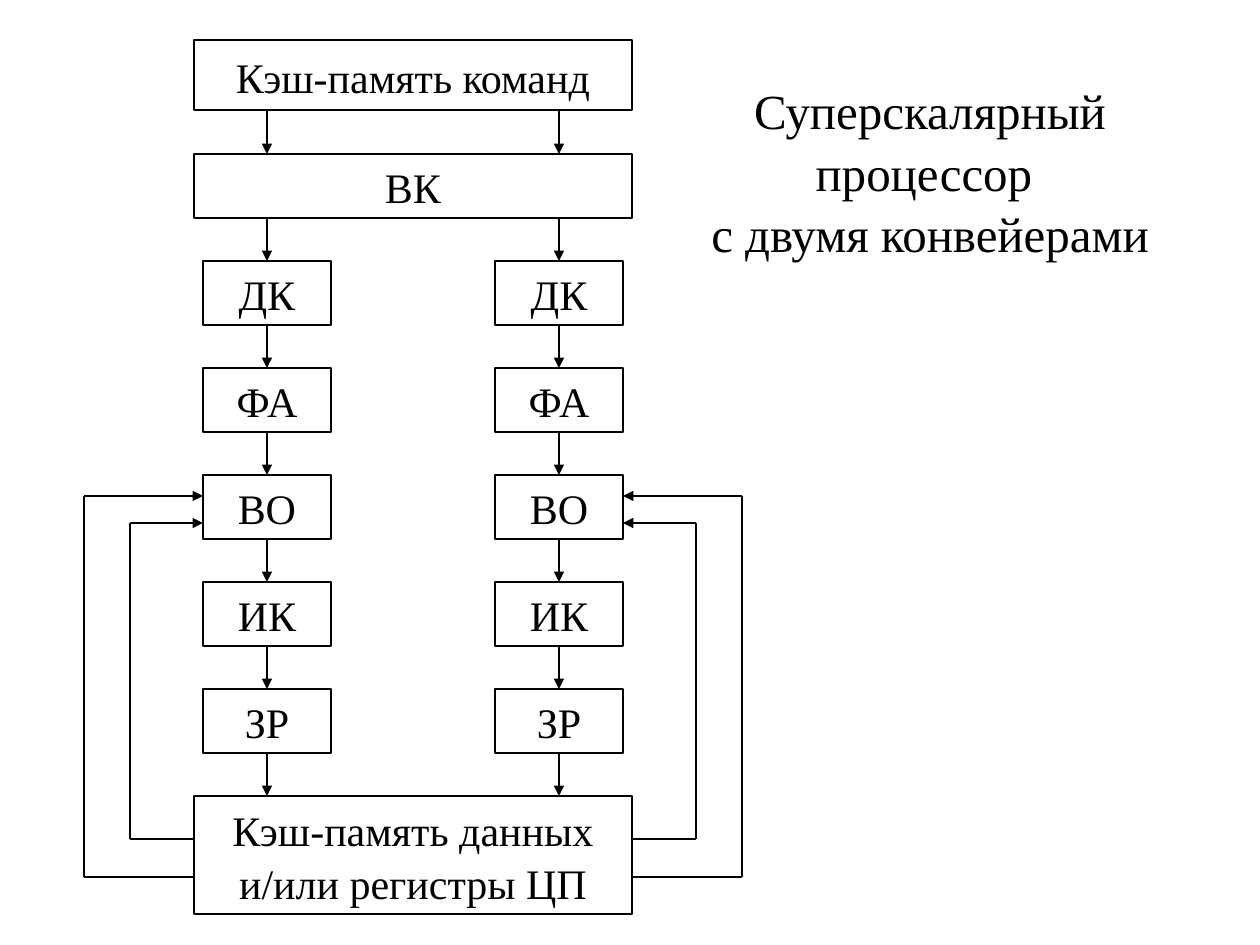
from pptx import Presentation
from pptx import util as u
from pptx.dml.color import RGBColor
from pptx.enum import shapes, text
from pptx.oxml.ns import qn
from lxml import etree

BLACK = RGBColor(0, 0, 0)
WHITE = RGBColor(255, 255, 255)
PX_PER_INCH = 126
TOP, BOTTOM = 0, 2  # connection sites of a rectangle


def px(length):
    return u.Emu(round(length * 914400 / PX_PER_INCH))


class Diagram:
    """Style of the diagram and the slide it is drawn on."""
    font_format = dict(name="Times New Roman", bold=False)
    frame_format = dict(word_wrap=True, vertical_anchor=text.MSO_ANCHOR.MIDDLE,
                        auto_size=text.MSO_AUTO_SIZE.NONE,
                        margin_left=u.Inches(0.1), margin_right=u.Inches(0.1),
                        margin_top=u.Inches(0.05), margin_bottom=u.Inches(0.05))
    paragraph_format = dict(alignment=text.PP_ALIGN.CENTER, line_spacing=1.05)
    line_width = u.Pt(0.75)

    def __init__(self, slide):
        self.slide = slide

    def label(self, frame, words, size):
        frame.text = words
        paragraph = frame.paragraphs[0]
        formats = [(frame, self.frame_format), (paragraph, self.paragraph_format)]
        formats += [(run.font, dict(self.font_format, size=u.Pt(size)))
                    for run in paragraph.runs]
        for target, values in formats:
            for name, value in values.items():
                setattr(target, name, value)
        for run in paragraph.runs:
            run.font.color.rgb = BLACK

    def outline(self, line):
        line.color.rgb = BLACK
        line.width = self.line_width

    def title(self, words, left, top, width, height):
        heading = self.slide.shapes.title
        place = dict(left=left, top=top, width=width, height=height)
        for name, value in place.items():
            setattr(heading, name, px(value))
        self.label(heading.text_frame, words, 28)

    def box(self, words, left, top, width, height):
        block = self.slide.shapes.add_shape(
            shapes.MSO_SHAPE.RECTANGLE, *map(px, (left, top, width, height)))
        block.shadow.inherit = False
        block.fill.solid()
        block.fill.fore_color.rgb = WHITE
        self.outline(block.line)
        self.label(block.text_frame, words, 24)
        return block

    def line(self, start, end, arrow=False, source=None, target=None):
        """Straight line; source and target are boxes joined bottom to top."""
        link = self.slide.shapes.add_connector(
            shapes.MSO_CONNECTOR.STRAIGHT, *map(px, (*start, *end)))
        self.outline(link.line)
        properties = link._element.spPr
        if arrow:
            etree.SubElement(properties.find(qn("a:ln")), qn("a:tailEnd"), type="triangle")
        etree.SubElement(properties, qn("a:effectLst"))
        if source is not None:
            link.begin_connect(source, BOTTOM)
        if target is not None:
            link.end_connect(target, TOP)

    def route(self, points):
        """Chain of lines with an arrowhead on the last one."""
        legs = list(zip(points, points[1:]))
        for start, end in legs:
            self.line(start, end, arrow=(start, end) == legs[-1])


def main():
    deck = Presentation()
    deck.slide_width, deck.slide_height = u.Inches(10), u.Inches(7.5)
    diagram = Diagram(deck.slides.add_slide(deck.slide_layouts[5]))
    diagram.title("Суперскалярный процессор \vс двумя конвейерами", 679, 40, 502, 260)

    axis = 413
    wide_width, stage_width, stage_height = 438, 128, 64
    wide_left = axis - wide_width // 2
    stages = ["ДК", "ФА", "ВО", "ИК", "ЗР"]
    first_stage, pitch = 261, 107
    command_cache_top, command_cache_height = 40, 70
    fetch_top = 154
    data_top = first_stage + pitch * len(stages)

    diagram.box("Кэш-память команд", wide_left, command_cache_top,
                wide_width, command_cache_height)
    diagram.box("ВК", wide_left, fetch_top, wide_width, stage_height)
    diagram.box("Кэш-память данных\vи/или регистры ЦП", wide_left, data_top,
                wide_width, 118)

    for side in (-1, 1):
        pipeline = axis + side * 146
        diagram.line((pipeline, command_cache_top + command_cache_height),
                     (pipeline, fetch_top), arrow=True)
        previous, previous_bottom = None, fetch_top + stage_height
        for step, stage in enumerate(stages):
            top = first_stage + pitch * step
            block = diagram.box(stage, pipeline - stage_width // 2, top,
                                stage_width, stage_height)
            diagram.line((pipeline, previous_bottom), (pipeline, top), arrow=True,
                         source=previous, target=block)
            previous, previous_bottom = block, top + stage_height
        diagram.line((pipeline, previous_bottom), (pipeline, data_top), arrow=True,
                     source=previous)

        data_edge = axis + side * wide_width // 2
        operand_edge = pipeline + side * stage_width // 2
        for reach, data_y, operand_y in [(283, 839, 523), (329, 877, 496)]:
            bend = axis + side * reach
            diagram.route([(data_edge, data_y), (bend, data_y),
                           (bend, operand_y), (operand_edge, operand_y)])

    deck.save("out.pptx")


if __name__ == "__main__":
    main()
